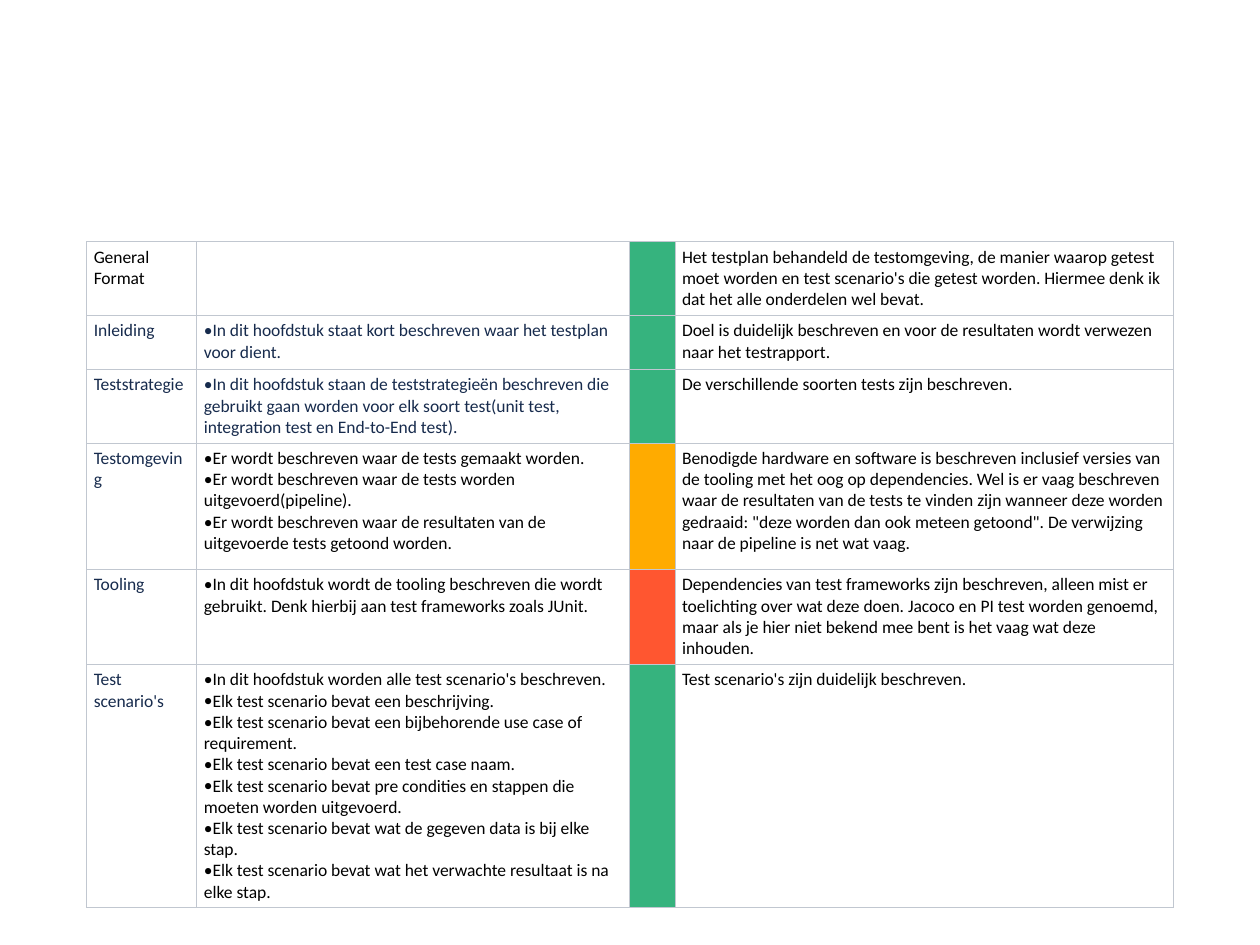
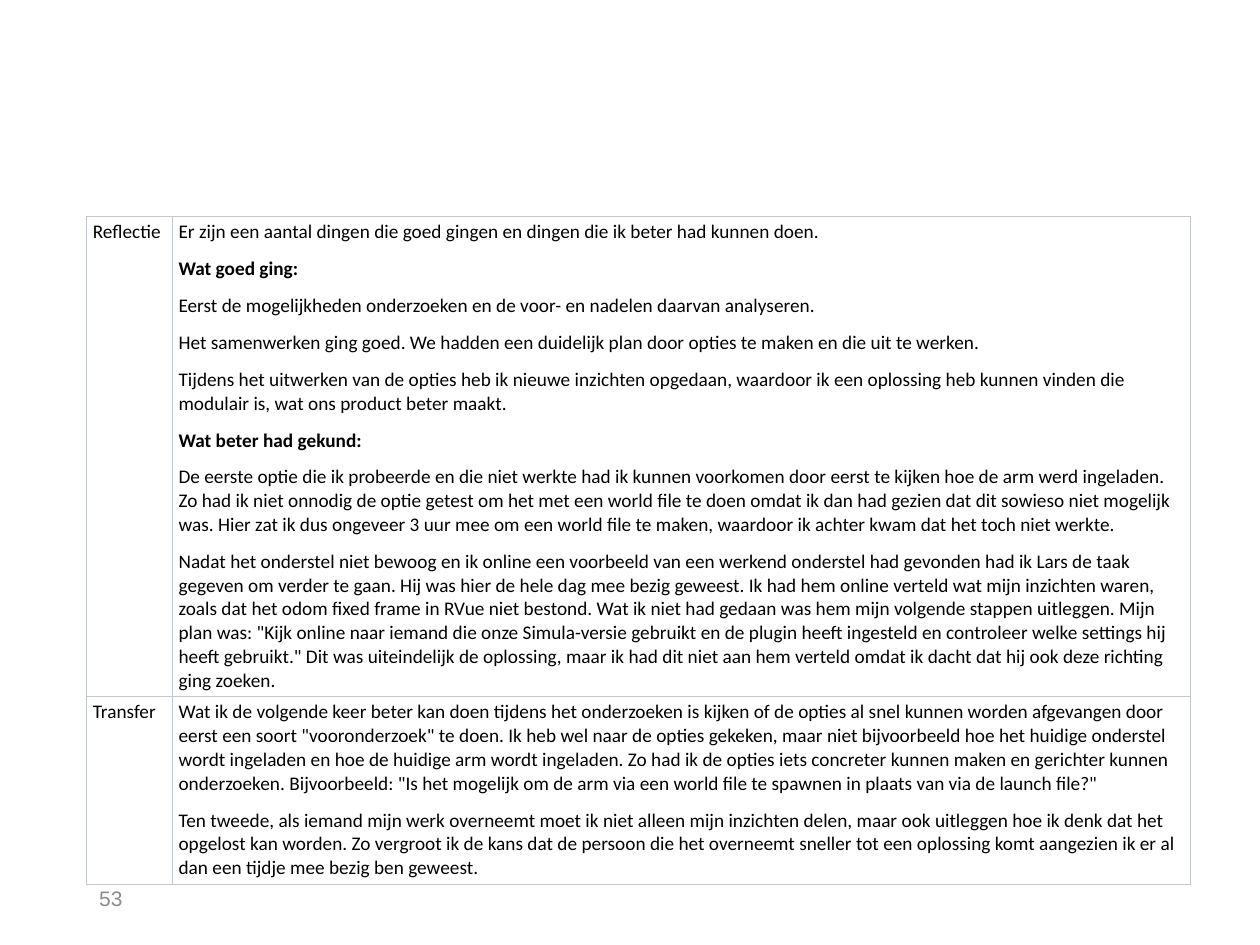
from lxml.etree import SubElement
from pptx import Presentation
from pptx.dml.color import RGBColor
from pptx.enum.text import MSO_ANCHOR
from pptx.oxml.ns import qn
from pptx.util import Cm, Pt

COLOURS = {
    "paper": "FFFFFF",
    "rule": "C1C7D0",
    "ink": "000000",
    "navy": "172B4D",
    "muted": "8C8C8C",
    "good": "36B37E",
    "fair": "FFAB00",
    "poor": "FF5630",
}
RULE_WIDTH = Pt(0.6)
LEFT = 1.75

REVIEW_COLUMNS = [2.22, 8.72, 0.92, 10.04]
REVIEW = [
    (1.37, "General Format", "ink", [], "ink", "good",
     "Het testplan behandeld de testomgeving, de manier waarop getest moet worden en test "
     "scenario's die getest worden. Hiermee denk ik dat het alle onderdelen wel bevat."),
    (1.09, "Inleiding", "navy",
     ["In dit hoofdstuk staat kort beschreven waar het testplan voor dient."], "navy", "good",
     "Doel is duidelijk beschreven en voor de resultaten wordt verwezen naar het testrapport."),
    (1.37, "Teststrategie", "navy",
     ["In dit hoofdstuk staan de teststrategieën beschreven die gebruikt gaan worden voor elk "
      "soort test(unit test, integration test en End-to-End test)."], "navy", "good",
     "De verschillende soorten tests zijn beschreven."),
    (2.55, "Testomgeving", "navy",
     ["Er wordt beschreven waar de tests gemaakt worden.",
      "Er wordt beschreven waar de tests worden uitgevoerd(pipeline).",
      "Er wordt beschreven waar de resultaten van de uitgevoerde tests getoond worden."],
     "ink", "fair",
     "Benodigde hardware en software is beschreven inclusief versies van de tooling met het oog "
     "op dependencies. Wel is er vaag beschreven waar de resultaten van de tests te vinden zijn "
     "wanneer deze worden gedraaid: \"deze worden dan ook meteen getoond\". De verwijzing naar "
     "de pipeline is net wat vaag."),
    (1.68, "Tooling", "navy",
     ["In dit hoofdstuk wordt de tooling beschreven die wordt gebruikt. Denk hierbij aan test "
      "frameworks zoals JUnit."], "ink", "poor",
     "Dependencies van test frameworks zijn beschreven, alleen mist er toelichting over wat deze "
     "doen. Jacoco en PI test worden genoemd, maar als je hier niet bekend mee bent is het vaag "
     "wat deze inhouden."),
    (4.01, "Test scenario's", "navy",
     ["In dit hoofdstuk worden alle test scenario's beschreven.",
      "Elk test scenario bevat een beschrijving.",
      "Elk test scenario bevat een bijbehorende use case of requirement.",
      "Elk test scenario bevat een test case naam.",
      "Elk test scenario bevat pre condities en stappen die moeten worden uitgevoerd.",
      "Elk test scenario bevat wat de gegeven data is bij elke stap.",
      "Elk test scenario bevat wat het verwachte resultaat is na elke stap."], "ink", "good",
     "Test scenario's zijn duidelijk beschreven."),
]

REFLECTION_COLUMNS = [1.73, 20.51]
REFLECTION_HEADINGS = {"Wat goed ging:", "Wat beter had gekund:"}
REFLECTION = [
    (9.68, "Reflectie", [
        "Er zijn een aantal dingen die goed gingen en dingen die ik beter had kunnen doen.",
        "Wat goed ging:",
        "Eerst de mogelijkheden onderzoeken en de voor- en nadelen daarvan analyseren.",
        "Het samenwerken ging goed. We hadden een duidelijk plan door opties te maken en die uit "
        "te werken.",
        "Tijdens het uitwerken van de opties heb ik nieuwe inzichten opgedaan, waardoor ik een "
        "oplossing heb kunnen vinden die modulair is, wat ons product beter maakt.",
        "Wat beter had gekund:",
        "De eerste optie die ik probeerde en die niet werkte had ik kunnen voorkomen door eerst "
        "te kijken hoe de arm werd ingeladen. Zo had ik niet onnodig de optie getest om het met "
        "een world file te doen omdat ik dan had gezien dat dit sowieso niet mogelijk was. Hier "
        "zat ik dus ongeveer 3 uur mee om een world file te maken, waardoor ik achter kwam dat "
        "het toch niet werkte.",
        "Nadat het onderstel niet bewoog en ik online een voorbeeld van een werkend onderstel had "
        "gevonden had ik Lars de taak gegeven om verder te gaan. Hij was hier de hele dag mee "
        "bezig geweest. Ik had hem online verteld wat mijn inzichten waren, zoals dat het odom "
        "fixed frame in RVue niet bestond. Wat ik niet had gedaan was hem mijn volgende stappen "
        "uitleggen. Mijn plan was: \"Kijk online naar iemand die onze Simula-versie gebruikt en "
        "de plugin heeft ingesteld en controleer welke settings hij heeft gebruikt.\" Dit was "
        "uiteindelijk de oplossing, maar ik had dit niet aan hem verteld omdat ik dacht dat hij "
        "ook deze richting ging zoeken.",
    ]),
    (3.79, "Transfer", [
        "Wat ik de volgende keer beter kan doen tijdens het onderzoeken is kijken of de opties al "
        "snel kunnen worden afgevangen door eerst een soort \"vooronderzoek\" te doen. Ik heb wel "
        "naar de opties gekeken, maar niet bijvoorbeeld hoe het huidige onderstel wordt ingeladen "
        "en hoe de huidige arm wordt ingeladen. Zo had ik de opties iets concreter kunnen maken "
        "en gerichter kunnen onderzoeken. Bijvoorbeeld: \"Is het mogelijk om de arm via een world "
        "file te spawnen in plaats van via de launch file?\"",
        "Ten tweede, als iemand mijn werk overneemt moet ik niet alleen mijn inzichten delen, "
        "maar ook uitleggen hoe ik denk dat het opgelost kan worden. Zo vergroot ik de kans dat "
        "de persoon die het overneemt sneller tot een oplossing komt aangezien ik er al dan een "
        "tijdje mee bezig ben geweest.",
    ]),
]


def rgb(colour):
    return RGBColor.from_string(COLOURS[colour])


def write(frame, lines, *, size, font="Calibri", colour="ink", bullet=None, gap=0, bold_lines=()):
    for index, line in enumerate(lines):
        paragraph = frame.add_paragraph() if index else frame.paragraphs[0]
        if index and gap:
            paragraph.space_before = Pt(gap)
        if bullet:
            properties = paragraph._p.get_or_add_pPr()
            properties.set("marL", "0")
            properties.set("indent", "0")
            SubElement(properties, qn("a:buFont"), typeface=font)
            SubElement(properties, qn("a:buChar"), char=bullet)
        run = paragraph.add_run()
        run.text = line
        run.font.name = font
        run.font.size = Pt(size)
        run.font.bold = line in bold_lines
        run.font.color.rgb = rgb(colour)


def style_cell(cell, fill, inset):
    cell.margin_left = cell.margin_right = Cm(inset[0])
    cell.margin_top = cell.margin_bottom = Cm(inset[1])
    properties = cell._tc.get_or_add_tcPr()
    for side in ("lnL", "lnR", "lnT", "lnB"):
        border = SubElement(properties, qn(f"a:{side}"), w=str(RULE_WIDTH))
        paint = SubElement(border, qn("a:solidFill"))
        SubElement(paint, qn("a:srgbClr"), val=COLOURS["rule"])
    cell.fill.solid()
    cell.fill.fore_color.rgb = rgb(fill)


def add_ruled_table(slide, left, top, widths, heights, inset):
    table = slide.shapes.add_table(len(heights), len(widths), Cm(left), Cm(top),
                                   Cm(sum(widths)), Cm(sum(heights))).table
    table.first_row = table.horz_banding = False
    for column, width in zip(table.columns, widths):
        column.width = Cm(width)
    for row, height in zip(table.rows, heights):
        row.height = Cm(height)
    for cell in table.iter_cells():
        style_cell(cell, "paper", inset)
    return table


def add_page_number(slide, left, top, number):
    box = slide.shapes.add_textbox(Cm(left), Cm(top), Cm(5.72), Cm(1.01))
    box.text_frame.word_wrap = True
    box.text_frame.vertical_anchor = MSO_ANCHOR.MIDDLE
    write(box.text_frame, [number], size=12, font="Arial", colour="muted")


def add_review(slide, left, top):
    heights = [entry[0] for entry in REVIEW]
    table = add_ruled_table(slide, left, top, REVIEW_COLUMNS, heights, (0.14, 0.1))
    for row, entry in zip(table.rows, REVIEW):
        _, chapter, chapter_colour, criteria, criteria_colour, rating, feedback = entry
        chapter_cell, criteria_cell, rating_cell, feedback_cell = row.cells
        write(chapter_cell.text_frame, [chapter], size=10, colour=chapter_colour)
        write(criteria_cell.text_frame, criteria, size=10, colour=criteria_colour, bullet="•")
        rating_cell.fill.fore_color.rgb = rgb(rating)
        write(feedback_cell.text_frame, [feedback], size=10)


def add_reflection(slide, left, top):
    heights = [entry[0] for entry in REFLECTION]
    table = add_ruled_table(slide, left, top, REFLECTION_COLUMNS, heights, (0.12, 0.08))
    for row, (_, topic, thoughts) in zip(table.rows, REFLECTION):
        topic_cell, thoughts_cell = row.cells
        write(topic_cell.text_frame, [topic], size=11)
        write(thoughts_cell.text_frame, thoughts, size=11, gap=7.5,
              bold_lines=REFLECTION_HEADINGS)


def main():
    deck = Presentation()
    deck.slide_width, deck.slide_height = Cm(25.4), Cm(19.05)
    blank = deck.slide_layouts[6]

    add_review(deck.slides.add_slide(blank), LEFT, 4.87)

    reflection_slide = deck.slides.add_slide(blank)
    add_page_number(reflection_slide, LEFT, 17.6, "53")
    add_reflection(reflection_slide, LEFT, 4.36)

    deck.save("out.pptx")


if __name__ == "__main__":
    main()
